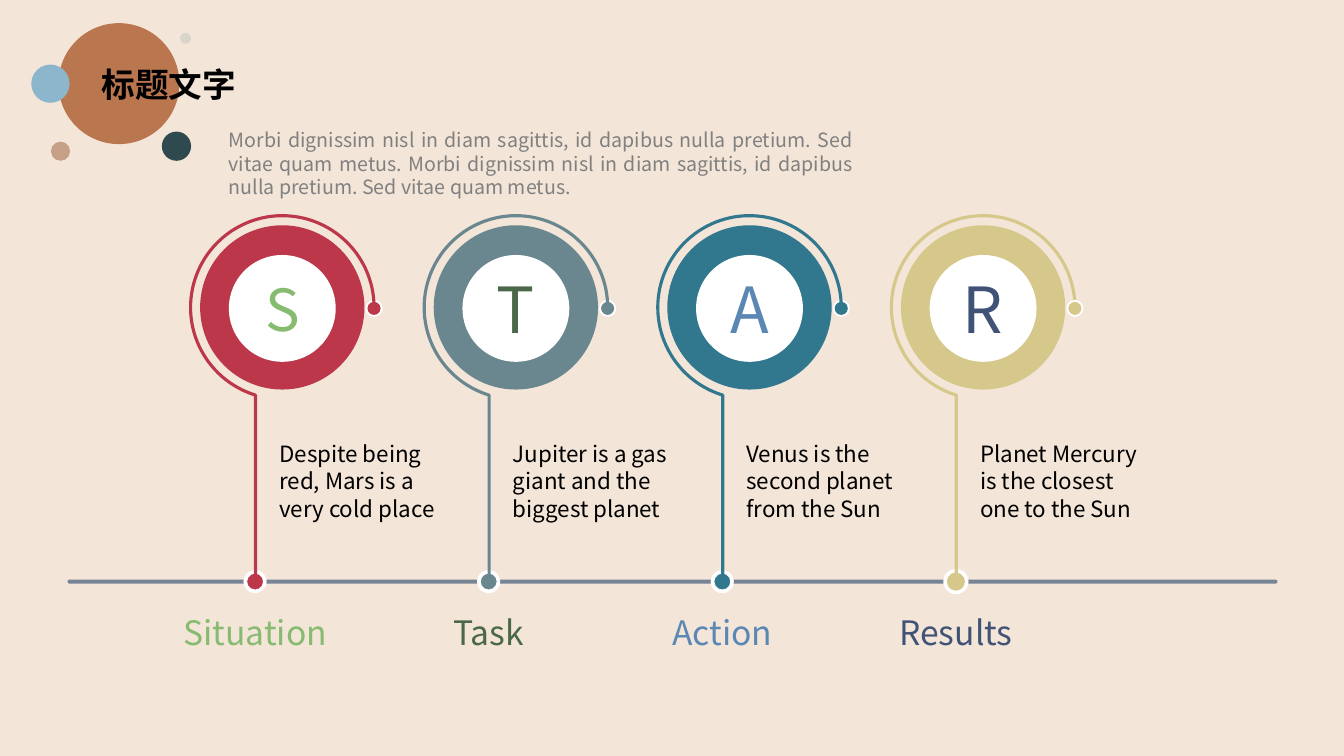
import math
from pptx import Presentation
from pptx import util as u
from pptx.dml.color import RGBColor
from pptx.enum import shapes, text
from pptx.oxml.ns import qn

FONT = "Noto Sans CJK SC"
WHITE = "FFFFFF"
PITCH = 2.317
STEPS = 84
COLUMNS = [
    ("S", 41.4, "Situation", "Despite being red, Mars is a very cold place", "BD374A", "86BB70"),
    ("T", 45.4, "Task", "Jupiter is a gas giant and the biggest planet", "6A868F", "4B6949"),
    ("A", 45.4, "Action", "Venus is the second planet from the Sun", "31778E", "5B87B4"),
    ("R", 45.4, "Results", "Planet Mercury is the closest one to the Sun", "D6C88B", "405377"),
]


def rgb(value):
    """Turn a hex string into a colour."""
    return RGBColor.from_string(value)


def paint(sp, fill=None, line=None, width=1.5):
    """Set fill and line, and drop the shadow."""
    sp.shadow.inherit = False
    if fill:
        sp.fill.solid()
        sp.fill.fore_color.rgb = rgb(fill)
    else:
        sp.fill.background()
    if line:
        sp.line.color.rgb = rgb(line)
        sp.line.width = u.Pt(width)
    else:
        sp.line.fill.background()


def circle(s, cx, cy, d, fill, line=None):
    """Add a circle around a centre."""
    box = [u.Inches(v) for v in (cx - d / 2, cy - d / 2, d, d)]
    sp = s.shapes.add_shape(shapes.MSO_SHAPE.OVAL, *box)
    paint(sp, fill, line)
    return sp


def write(sp, words, size, color, align="LEFT", inset=0.13, anchor="MIDDLE",
          bold=False, wrap=True, tight=False):
    """Put one paragraph of text into a shape."""
    tf = sp.text_frame
    tf.word_wrap = wrap
    tf.vertical_anchor = getattr(text.MSO_ANCHOR, anchor)
    tf.margin_left = tf.margin_right = u.Inches(inset)
    tf.margin_top = tf.margin_bottom = u.Inches(min(inset, 0.13) if inset > 0.1 else 0.05)
    p = tf.paragraphs[0]
    p.alignment = getattr(text.PP_ALIGN, align)
    if tight:
        p.line_spacing = u.Pt(round(size * 1.21, 1))
    r = p.add_run()
    r.text = words
    r.font.size = u.Pt(size)
    r.font.name = FONT
    r.font.bold = bold
    r.font.color.rgb = rgb(color)
    r.font._element.get_or_add_latin().addnext(
        r.font._element.makeelement(qn("a:ea"), {"typeface": FONT}))


def label(s, x, y, w, h, *args, **kwargs):
    """Add a text box."""
    sp = s.shapes.add_textbox(*[u.Inches(v) for v in (x, y, w, h)])
    write(sp, *args, **kwargs)


def heading(s, x, y):
    """Draw the bubble cluster, the title and the introduction."""
    bubbles = [(0.87, 0.6, 1.2, "BA764F"), (0.19, 0.6, 0.38, "8BB6CB"),
               (0.29, 1.27, 0.19, "C5A086"), (1.44, 1.22, 0.29, "2E4A4E"),
               (1.53, 0.15, 0.11, "D9D5CA")]
    for dx, dy, d, fill in bubbles:
        circle(s, x + dx, y + dy, d, fill)
    label(s, x + 0.6, y + 0.35, 1.55, 0.5, "标题文字", 24, "000000", inset=0.1,
          anchor="TOP", bold=True, wrap=False, tight=True)
    sentence = "Morbi dignissim nisl in diam sagittis, id dapibus nulla pretium. Sed vitae quam metus."
    label(s, x + 1.86, y + 0.99, 6.39, 0.81, f"{sentence} {sentence}", 14, "808080",
          align="JUSTIFY", inset=0.1, anchor="TOP", tight=True)


def timeline(s, x, y, w, h):
    """Draw the horizontal bar."""
    sp = s.shapes.add_shape(shapes.MSO_SHAPE.ROUNDED_RECTANGLE,
                            *[u.Inches(v) for v in (x, y, w, h)])
    sp.adjustments[0] = 0.5
    paint(sp, "778495")


def stem(s, cx, cy, radius, foot, color):
    """Draw the open arc that runs down to the timeline."""
    sweep = math.radians(253)
    pts = []
    for i in range(STEPS + 1):
        a = sweep * i / STEPS
        pts.append((cx + radius * math.cos(a), cy - radius * math.sin(a)))
    pts.append((pts[-1][0], foot))
    pts = [(u.Inches(px), u.Inches(py)) for px, py in pts]
    fb = s.shapes.build_freeform(*pts[0])
    fb.add_line_segments(pts[1:], close=False)
    paint(fb.convert_to_shape(), line=color, width=2.25)


def knob(s, cx, cy, color):
    """Draw the small dot that ends the arc."""
    circle(s, cx, cy, 0.17, WHITE)
    circle(s, cx, cy, 0.13, color)


def column(s, cx, cy, foot, entry, last):
    """Draw one letter of the row with its stem, text and name."""
    letter, size, name, body, color, ink = entry
    foot_x, radius = cx - 0.27, 0.91
    if not last:
        knob(s, cx + radius, cy + 0.01, color)
    circle(s, foot_x, foot, 0.23, WHITE, WHITE if last else None)
    circle(s, foot_x, foot, 0.18, color, None if last else WHITE)
    stem(s, cx, cy, radius, foot, color)
    if last:
        knob(s, cx + radius, cy + 0.01, color)
    circle(s, cx, cy, 1.63, color)
    disc = circle(s, cx, cy + 0.01, 1.06, WHITE)
    write(disc, letter, size, ink, align="CENTER")
    label(s, cx - 0.16, cy + 1.21, 1.82, 1.02, body, 16, "000000", tight=True)
    label(s, foot_x - 1.14, foot + 0.24, 2.28, 0.53, name, 24, ink, align="CENTER")


def main():
    """Build and save the slide."""
    prs = Presentation()
    prs.slide_width, prs.slide_height = u.Inches(13.33), u.Inches(7.5)
    s = prs.slides.add_slide(prs.slide_layouts[6])
    s.background.fill.solid()
    s.background.fill.fore_color.rgb = rgb("F3E5D8")
    heading(s, 0.31, 0.23)
    timeline(s, 0.67, 5.75, 12, 0.04)
    for i, entry in enumerate(COLUMNS):
        column(s, 2.8 + PITCH * i, 3.05, 5.77, entry, i == len(COLUMNS) - 1)
    prs.save("out.pptx")


if __name__ == "__main__":
    main()
